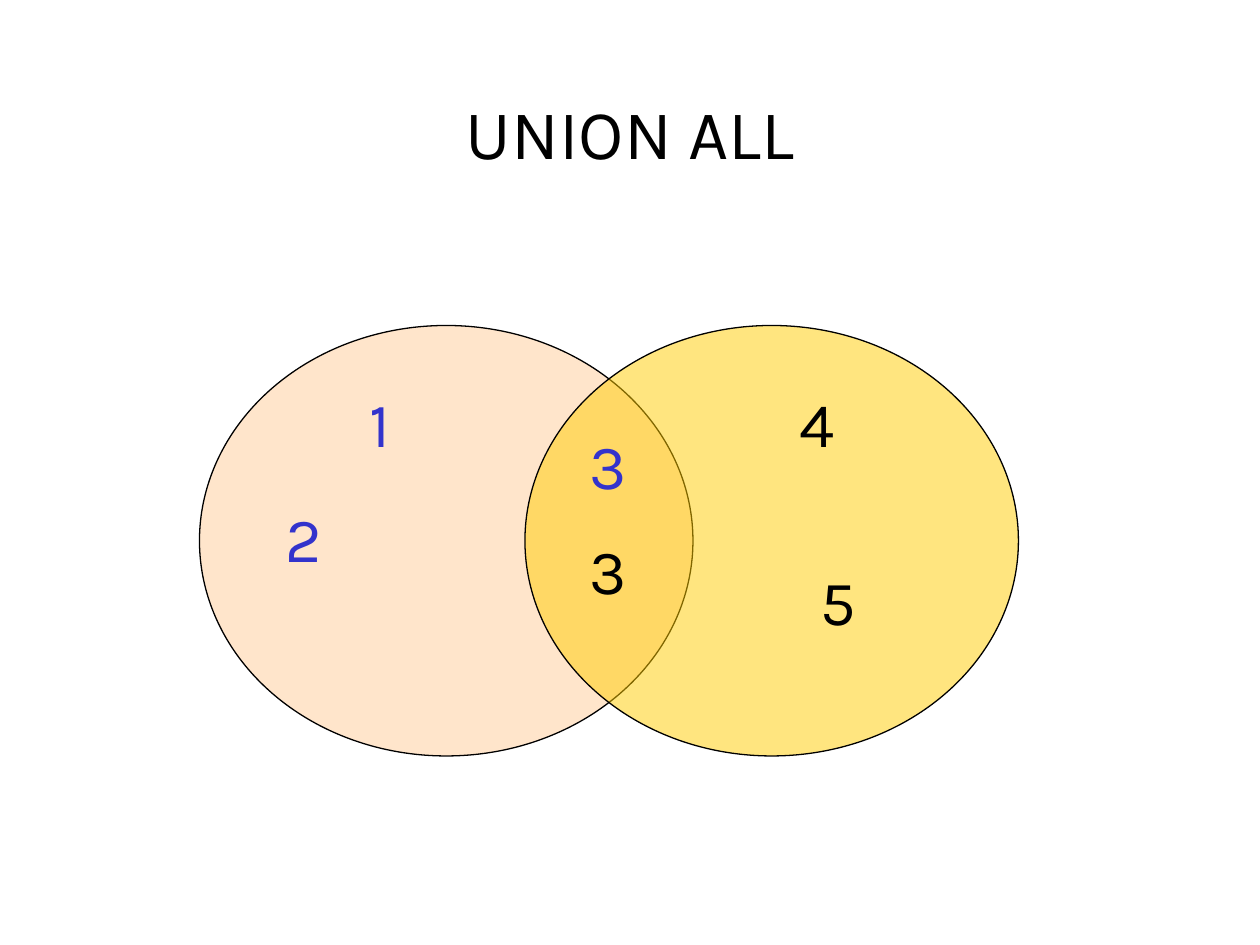
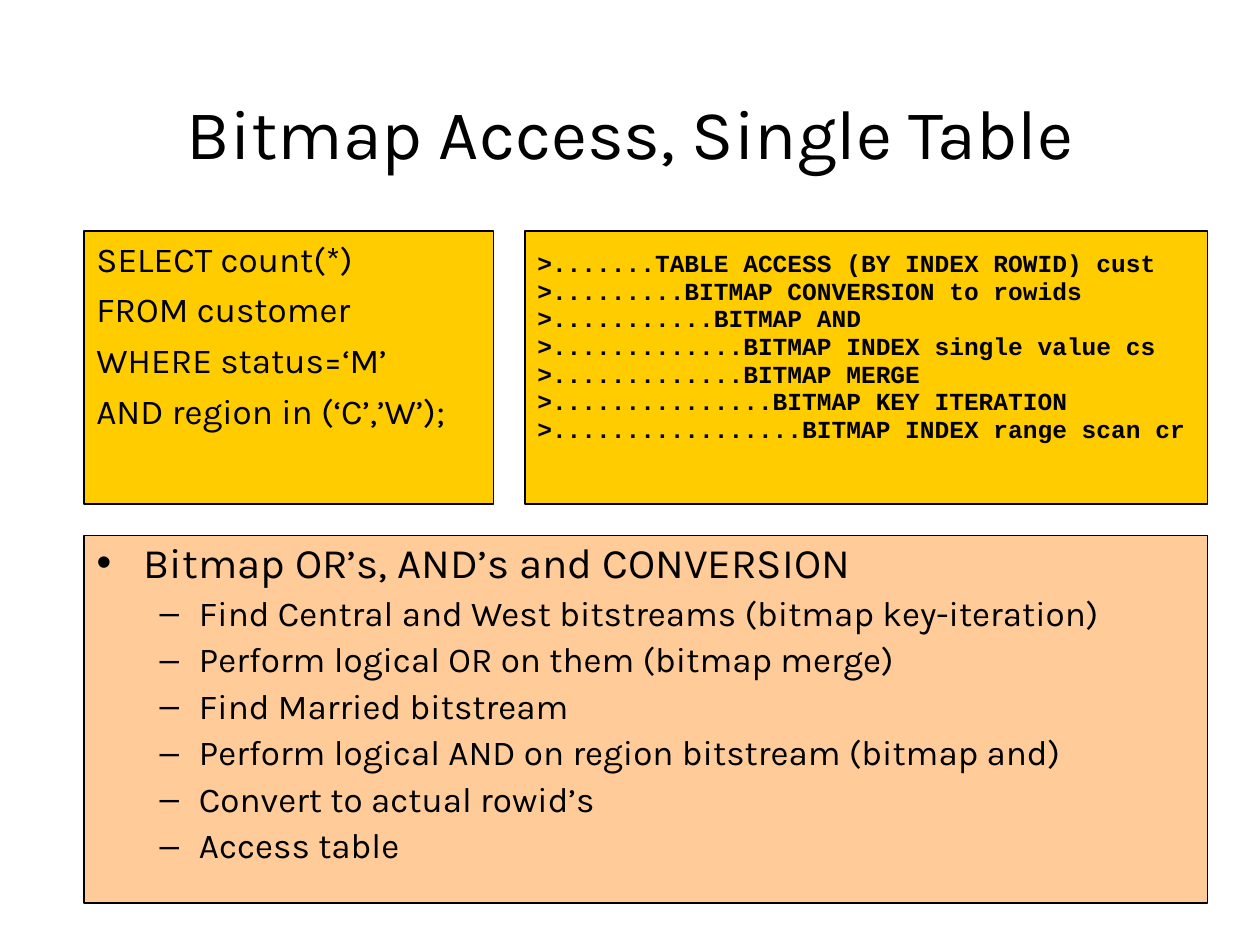
from lxml.etree import SubElement
from pptx import Presentation
from pptx.dml.color import RGBColor
from pptx.enum.shapes import MSO_SHAPE
from pptx.enum.text import MSO_ANCHOR, MSO_AUTO_SIZE, PP_ALIGN
from pptx.oxml.ns import qn
from pptx.util import Inches, Pt

# Shared look
BLACK = RGBColor(0x00, 0x00, 0x00)
BLUE = RGBColor(0x33, 0x33, 0xCC)
PEACH = RGBColor(0xFF, 0xCC, 0x99)
GOLD = RGBColor(0xFF, 0xCC, 0x00)
TEXT_FONT = "Karla"
CODE_FONT = "Courier New"

# Places are (left, top, width, height) on a grid of 120 columns by 90 rows
COLUMNS, ROWS = 120, 90
TITLE_PLACE = (9, 8, 102, 9)

# Slide 1: two overlapping sets
UNION_TITLE = "UNION ALL"
SET_TOP, SET_WIDTH, SET_HEIGHT = 31, 47, 41
SETS = [(19, PEACH), (50, GOLD)]
MEMBER_SIZE = (5.8, 8.4)
MEMBERS = [
    ("3", 55, 50, BLACK),
    ("3", 55, 40, BLUE),
    ("5", 77, 53, BLACK),
    ("4", 75, 36, BLACK),
    ("2", 26, 47, BLUE),
    ("1", 34, 36, BLUE),
]

# Slide 2: query, its plan and the explanation
BITMAP_TITLE = "Bitmap Access, Single Table"
LEFT, RIGHT, GAP = 8, 115, 3
QUERY_WIDTH, PANEL_TOP, PANEL_HEIGHT = 39, 22, 26
STEPS_HEIGHT = 35
QUERY = [
    "SELECT count(*)",
    "FROM customer",
    "WHERE status=‘M’",
    "AND region in (‘C’,’W’);",
]
PLAN = [  # (dots, operation)
    (7, "TABLE ACCESS (BY INDEX ROWID) cust"),
    (9, "BITMAP CONVERSION to rowids"),
    (11, "BITMAP AND"),
    (13, "BITMAP INDEX single value cs"),
    (13, "BITMAP MERGE"),
    (15, "BITMAP KEY ITERATION"),
    (17, "BITMAP INDEX range scan cr"),
]
STEPS_HEADING = "Bitmap OR’s, AND’s and CONVERSION"
STEPS = [
    "Find Central and West bitstreams (bitmap key-iteration)",
    "Perform logical OR on them (bitmap merge)",
    "Find Married bitstream",
    "Perform logical AND on region bitstream (bitmap and)",
    "Convert to actual rowid’s",
    "Access table",
]

deck = Presentation()
deck.slide_width, deck.slide_height = Inches(10), Inches(7.5)


def on_grid(left, top, width, height):
    column, row = deck.slide_width / COLUMNS, deck.slide_height / ROWS
    return (round(left * column), round(top * row),
            round(width * column), round(height * row))


def move(part, place):
    part.left, part.top, part.width, part.height = on_grid(*place)


def paint(part, color):
    part.fill.solid()
    part.fill.fore_color.rgb = color
    part.line.color.rgb = BLACK
    part.line.width = Pt(0.75)


def style(paragraph, size, color=BLACK, font=TEXT_FONT, bold=False,
          align=PP_ALIGN.LEFT):
    paragraph.alignment = align
    paragraph.font.size = Pt(size)
    paragraph.font.name = font
    paragraph.font.bold = bold
    paragraph.font.color.rgb = color


def space(paragraphs, before):
    """Space between paragraphs, none above the first."""
    for index, paragraph in enumerate(paragraphs):
        paragraph.space_before = Pt(before if index else 0)


def add_titled_slide(layout, title_text):
    slide = deck.slides.add_slide(deck.slide_layouts[layout])
    title = slide.shapes.title
    move(title, TITLE_PLACE)
    title.text_frame.text = title_text
    title.text_frame.vertical_anchor = MSO_ANCHOR.MIDDLE
    title.text_frame.auto_size = MSO_AUTO_SIZE.NONE
    style(title.text_frame.paragraphs[0], 40, align=PP_ALIGN.CENTER)
    return slide


def add_filled(slide, kind, place, color):
    part = slide.shapes.add_shape(kind, *on_grid(*place))
    part.shadow.inherit = False
    paint(part, color)
    return part


def add_panel(slide, place, lines, **text_style):
    frame = add_filled(slide, MSO_SHAPE.RECTANGLE, place, GOLD).text_frame
    frame.word_wrap = True
    frame.vertical_anchor = MSO_ANCHOR.TOP
    frame.text = "\n".join(lines)
    for paragraph in frame.paragraphs:
        style(paragraph, **text_style)
    return frame


def build_union():
    slide = add_titled_slide(5, UNION_TITLE)

    # Half transparent sets
    for left, color in SETS:
        place = (left, SET_TOP, SET_WIDTH, SET_HEIGHT)
        ellipse = add_filled(slide, MSO_SHAPE.OVAL, place, color)
        fill_color = ellipse.fill._xPr.find(qn("a:solidFill"))[0]
        SubElement(fill_color, qn("a:alpha"), val="50000")

    # Members of the sets
    for digit, left, top, color in MEMBERS:
        member = slide.shapes.add_textbox(*on_grid(left, top, *MEMBER_SIZE))
        frame = member.text_frame
        frame.word_wrap = False
        frame.auto_size = MSO_AUTO_SIZE.SHAPE_TO_FIT_TEXT
        frame.text = digit
        style(frame.paragraphs[0], 36, color)


def build_bitmap():
    slide = add_titled_slide(1, BITMAP_TITLE)

    # Explanation
    steps = slide.placeholders[1]
    steps_top = PANEL_TOP + PANEL_HEIGHT + GAP
    move(steps, (LEFT, steps_top, RIGHT - LEFT, STEPS_HEIGHT))
    paint(steps, PEACH)
    frame = steps.text_frame
    frame.auto_size = MSO_AUTO_SIZE.NONE
    frame.text = "\n".join([STEPS_HEADING] + STEPS)
    for index, paragraph in enumerate(frame.paragraphs):
        paragraph.level = 1 if index else 0
        paragraph.line_spacing = 0.9
        style(paragraph, 20 if index else 24)
    space(frame.paragraphs, 5)

    # Execution plan
    plan_left = LEFT + QUERY_WIDTH + GAP
    plan = add_panel(
        slide, (plan_left, PANEL_TOP, RIGHT - plan_left, PANEL_HEIGHT),
        [">" + "." * dots + operation for dots, operation in PLAN],
        size=14, font=CODE_FONT, bold=True)
    plan.margin_top = Inches(0.15)
    for paragraph in plan.paragraphs:
        paragraph.line_spacing = Pt(15.8)

    # Query
    query = add_panel(slide, (LEFT, PANEL_TOP, QUERY_WIDTH, PANEL_HEIGHT),
                      QUERY, size=20)
    space(query.paragraphs, 5)


build_union()
build_bitmap()
deck.save("out.pptx")
